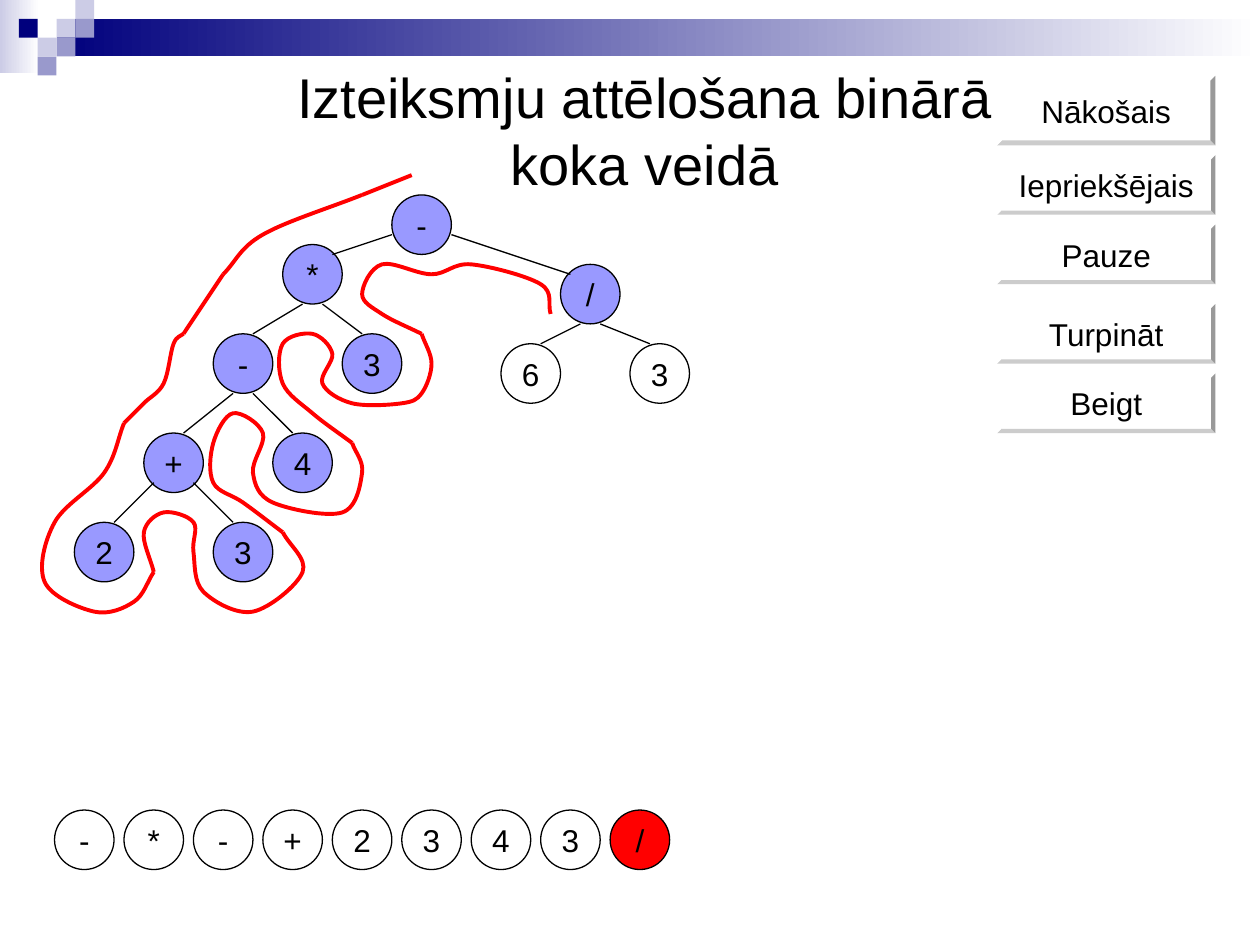
from dataclasses import dataclass

from lxml import etree
from pptx import Presentation
from pptx.dml.color import RGBColor
from pptx.enum.shapes import MSO_CONNECTOR, MSO_SHAPE
from pptx.enum.text import MSO_ANCHOR, MSO_AUTO_SIZE, PP_ALIGN
from pptx.oxml.ns import qn
from pptx.util import Cm, Pt

RECT, OVAL, BEVEL = MSO_SHAPE.RECTANGLE, MSO_SHAPE.OVAL, MSO_SHAPE.BEVEL
STRAIGHT = MSO_CONNECTOR.STRAIGHT
MIDDLE = MSO_ANCHOR.MIDDLE
CENTER = PP_ALIGN.CENTER
NO_FIT = MSO_AUTO_SIZE.NONE


@dataclass
class Theme:
    font: str = "Arial"
    head: Pt = Pt(32)
    body: Pt = Pt(18)
    thin: Pt = Pt(0.75)
    thick: Pt = Pt(2.25)
    black: RGBColor = RGBColor.from_string("000000")
    white: RGBColor = RGBColor.from_string("FFFFFF")
    red: RGBColor = RGBColor.from_string("FF0000")
    done: RGBColor = RGBColor.from_string("9999FF")
    navy: RGBColor = RGBColor.from_string("00007D")
    mid: RGBColor = RGBColor.from_string("9999CC")
    pale: RGBColor = RGBColor.from_string("CCCCE6")


theme = Theme()
deck = Presentation()
deck.slide_width, deck.slide_height = Cm(25.4), Cm(19.05)
slide = deck.slides.add_slide(deck.slide_layouts[5])
shapes = slide.shapes


def add_box(kind, x, y, w, h, fill, text="", edge=None):
    box = shapes.add_shape(kind, Cm(x), Cm(y), Cm(w), Cm(h))
    box.shadow.inherit = False
    box.fill.solid()
    box.fill.fore_color.rgb = fill
    if edge is None:
        box.line.fill.background()
    else:
        box.line.color.rgb = edge
        box.line.width = theme.thin
    if text:
        frame = box.text_frame
        frame.text = text
        frame.word_wrap = False
        frame.vertical_anchor = MIDDLE
        para = frame.paragraphs[0]
        para.alignment = CENTER
        font = para.runs[0].font
        font.name, font.size = theme.font, theme.body
        font.color.rgb = theme.black
    return box


def add_line(x1, y1, x2, y2, color, width):
    line = shapes.add_connector(STRAIGHT, Cm(x1), Cm(y1), Cm(x2), Cm(y2))
    line.line.color.rgb = color
    line.line.width = width
    etree.SubElement(line._element.spPr, qn("a:effectLst"))


for x, y, w, h, color in [
    (0, 0, 0.79, 1.47, theme.pale),
    (1.14, 0.38, 24.26, 0.76, theme.navy),
]:
    band = add_box(RECT, x, y, w, h, color)
    band.fill.gradient()
    band.fill.gradient_angle = 0
    for stop, shade in zip(band.fill.gradient_stops, (color, theme.white)):
        stop.color.rgb = shade

side = 0.38
for col, row, color in [
    (3, 1, theme.pale), (4, 0, theme.pale), (4, 1, theme.mid),
    (2, 2, theme.pale), (1, 1, theme.navy), (3, 2, theme.mid),
    (2, 3, theme.mid),
]:
    add_box(RECT, col * side, row * side, side, side, color)

for label, y, h in [
    ("Nākošais", 1.53, 1.4),
    ("Iepriekšējais", 3.13, 1.2),
    ("Pauze", 4.53, 1.2),
    ("Turpināt", 6.13, 1.2),
    ("Beigt", 7.53, 1.2),
]:
    button = add_box(BEVEL, 20.1, y, 4.4, h, theme.white, label)
    button.adjustments[0] = 0.07

title = shapes.title
title.left, title.top = Cm(4.5), Cm(1.13)
title.width, title.height = Cm(17), Cm(2.97)
frame = title.text_frame
frame.text = "Izteiksmju attēlošana binārā koka veidā"
frame.word_wrap = True
frame.auto_size = NO_FIT
frame.vertical_anchor = MIDDLE
para = frame.paragraphs[0]
para.alignment = CENTER
font = para.runs[0].font
font.name, font.size = theme.font, theme.head
font.color.rgb = theme.black

node = 1.2
tree = {
    "root": ("-", 7.9, 3.93, None),
    "times": ("*", 5.7, 4.93, "root"),
    "over": ("/", 11.3, 5.33, "root"),
    "minus": ("-", 4.3, 6.73, "times"),
    "three": ("3", 6.9, 6.73, "times"),
    "plus": ("+", 2.9, 8.73, "minus"),
    "four": ("4", 5.5, 8.73, "minus"),
    "left": ("2", 1.5, 10.53, "plus"),
    "right": ("3", 4.3, 10.53, "plus"),
    "six": ("6", 10.1, 6.93, "over"),
    "last": ("3", 12.7, 6.93, "over"),
}
for name, (sign, x, y, parent) in tree.items():
    color = theme.white if parent == "over" else theme.done
    add_box(OVAL, x, y, node, node, color, sign, theme.black)

joins = {"root": (0.4, 0.2, 0.6, 0.8), "plus": (0.2, 0, 0.4, 1)}
for sign, x, y, parent in tree.values():
    if parent:
        px, py = tree[parent][1:3]
        way = 1 if x > px else -1
        near, dip, far, drop = joins.get(parent, (0.2, 0, 0.2, node))
        add_line(x + node / 2 - way * near, y + dip,
                 px + node / 2 + way * far, py + drop, theme.black, theme.thin)

signs = "-*-+2343/"
for i, sign in enumerate(signs):
    color = theme.red if i == len(signs) - 1 else theme.white
    add_box(OVAL, 1.1 + 1.4 * i, 16.33, node, node, color, sign, theme.black)

add_line(8.3, 3.53, 7.3, 3.93, theme.red, theme.thick)

curves = [
    [(5.3, 4.73), (4.5, 5.53)],
    [(4.1, 6.13), (3.7, 6.73)],
    [(3.5, 6.93), (3.3, 7.73), (2.9, 8.13), (2.5, 8.53)],
    [(2.1, 9.53), (1.1, 10.53), (0.9, 11.73), (1.9, 12.33), (2.7, 12.13),
     (3.1, 11.53)],
    [(2.9, 10.73), (3.3, 10.33), (3.9, 10.53), (3.9, 11.13), (4.1, 11.93),
     (5.1, 12.33), (6.1, 11.53), (5.7, 10.73)],
    [(4.9, 10.13), (4.3, 9.73), (4.3, 8.93), (4.7, 8.33), (5.3, 8.73),
     (5.1, 9.53), (5.5, 10.13), (6.9, 10.33), (7.3, 9.53), (7.1, 8.93)],
    [(6.3, 8.33), (5.7, 7.73), (5.7, 6.93), (6.3, 6.73), (6.7, 7.13),
     (6.5, 7.73), (7.1, 8.13), (8.1, 8.13), (8.5, 7.93), (8.7, 7.33),
     (8.5, 6.73)],
    [(7.7, 6.33), (7.3, 5.93), (7.7, 5.33), (8.7, 5.53), (9.5, 5.33),
     (10.9, 5.73), (11.1, 6.33)],
]
start = (7.3, 3.93)
for curve in curves:
    knots = [start] + curve
    first = [2 * a - b for a, b in zip(knots[0], knots[1])]
    final = [2 * a - b for a, b in zip(knots[-1], knots[-2])]
    knots = [first] + knots + [final]
    points = []
    for a, b, c, d in zip(knots, knots[1:], knots[2:], knots[3:]):
        points.append([Cm(q + (r - p) / 6) for p, q, r in zip(a, b, c)])
        points.append([Cm(r - (s - q) / 6) for q, r, s in zip(b, c, d)])
        points.append([Cm(r) for r in c])
    pen = shapes.build_freeform(Cm(start[0]), Cm(start[1]))
    pen.add_line_segments(points, close=False)
    trace = pen.convert_to_shape()
    trace.shadow.inherit = False
    trace.fill.background()
    trace.line.color.rgb = theme.red
    trace.line.width = theme.thick
    track = next(trace._element.iter(qn("a:path")))
    steps = track.findall(qn("a:lnTo"))
    for i in range(0, len(steps), 3):
        bend = etree.SubElement(track, qn("a:cubicBezTo"))
        for step in steps[i:i + 3]:
            bend.append(step[0])
            track.remove(step)
    start = curve[-1]

deck.save("out.pptx")
